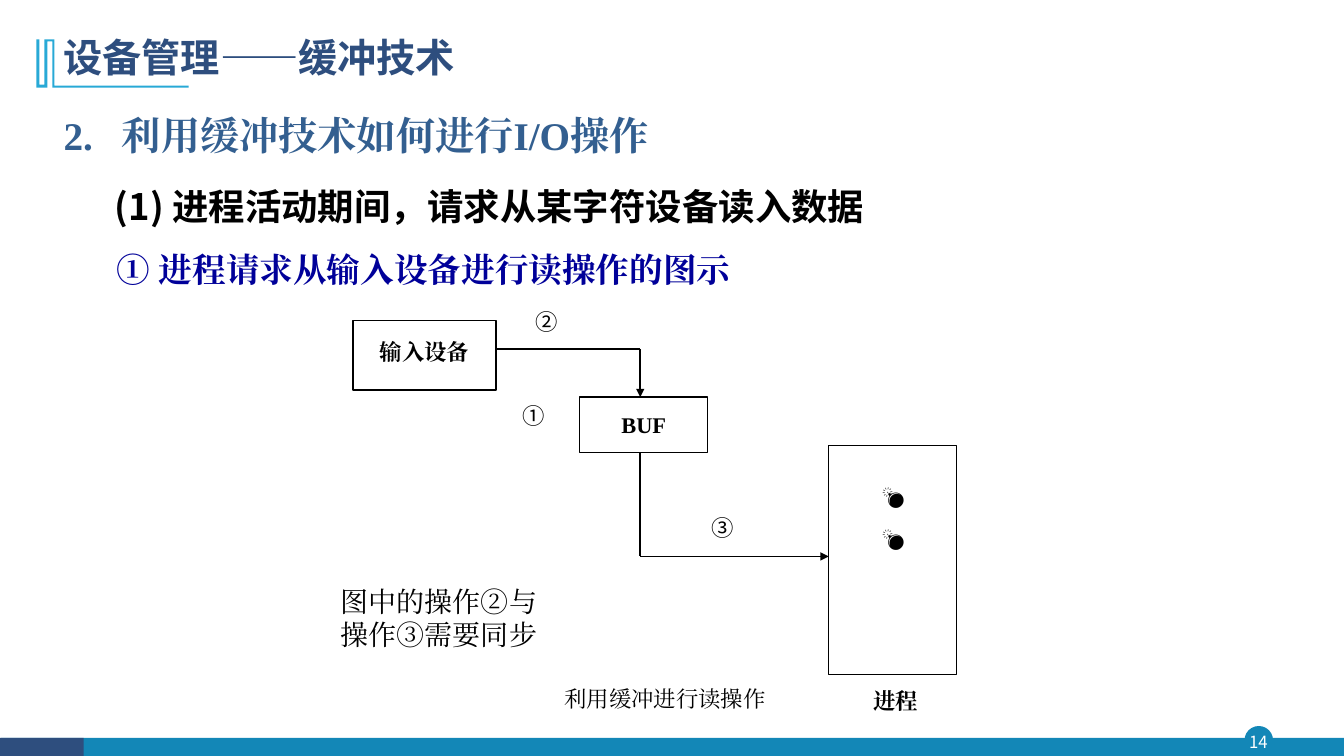
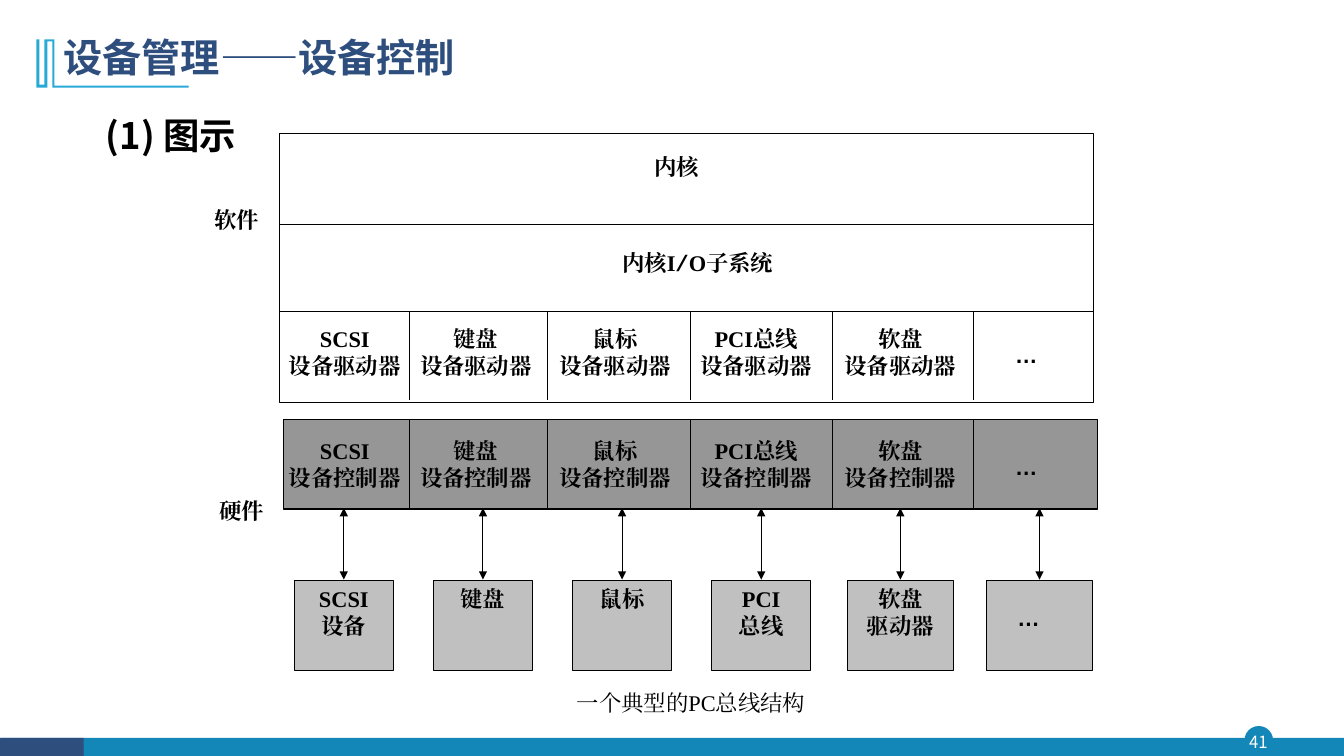
from lxml import etree
from pptx import Presentation
from pptx import util as u
from pptx.dml.color import RGBColor
from pptx.enum import shapes as sh, text as tx
from pptx.oxml import ns

NAVY = RGBColor(0x2E, 0x4E, 0x7E)
TEAL = RGBColor(0x13, 0x87, 0xB7)
SKY = RGBColor(0x28, 0xA9, 0xD6)
STEEL = RGBColor(0x33, 0x5F, 0x90)
BLUE = RGBColor(0x00, 0x00, 0x99)
BLACK = RGBColor(0, 0, 0)
WHITE = RGBColor(255, 255, 255)
DARK = RGBColor(0x96, 0x96, 0x96)
PALE = RGBColor(0xC0, 0xC0, 0xC0)
SERIF, SANS = "Times New Roman", "Noto Sans CJK SC"
LEFT, MID = tx.PP_ALIGN.LEFT, tx.PP_ALIGN.CENTER
I = u.Inches


# Basic parts
def style(para, size=16, font=SERIF, color=BLACK, bold=True):
    for run in para.runs:
        face = run.font
        face.size, face.name, face.bold = u.Pt(size), font, bold
        face.color.rgb = color
        east = etree.SubElement(face._element, ns.qn("a:ea"))
        east.set("typeface", font)


def label(slide, text, x, y, wide=1.42, align=MID, **look):
    """Text centred on height y; x is its centre, or its left edge."""
    left = x if align == LEFT else x - wide / 2
    area = slide.shapes.add_textbox(I(left), I(y - 0.3), I(wide), I(0.6))
    frame = area.text_frame
    frame.word_wrap = True
    frame.vertical_anchor = tx.MSO_ANCHOR.MIDDLE
    frame.margin_left = frame.margin_right = 0
    frame.margin_top = frame.margin_bottom = 0
    frame.text = text
    for para in frame.paragraphs:
        para.alignment = align
        style(para, **look)
    return frame


def box(slide, x, y, wide, high, fill=None, edge=BLACK, width=0.75, text="",
        kind=sh.MSO_SHAPE.RECTANGLE, anchor=tx.MSO_ANCHOR.MIDDLE):
    part = slide.shapes.add_shape(kind, I(x), I(y), I(wide), I(high))
    paint(part, fill, edge, width)
    frame = part.text_frame
    frame.vertical_anchor = anchor
    if text:
        frame.text = text
        for para in frame.paragraphs:
            para.alignment = MID
            style(para)
    return part


def paint(part, fill, edge=None, width=0.75):
    part.shadow.inherit = False
    if fill is None:
        part.fill.background()
    else:
        part.fill.solid()
        part.fill.fore_color.rgb = fill
    if edge is None:
        part.line.fill.background()
    else:
        part.line.color.rgb = edge
        part.line.width = u.Pt(width)


def wire(slide, x1, y1, x2, y2, width=0.75, ends=()):
    part = slide.shapes.add_connector(
        sh.MSO_CONNECTOR.STRAIGHT, I(x1), I(y1), I(x2), I(y2))
    part.line.color.rgb = BLACK
    part.line.width = u.Pt(width)
    for end in ends:
        tip = etree.SubElement(part.line._get_or_add_ln(), ns.qn(f"a:{end}"))
        tip.set("type", "triangle")
    etree.SubElement(part.element.spPr, ns.qn("a:effectLst"))


# Shared layout: placeholders, title mark and footer band
def place(part, x, y, wide, high):
    part.left, part.top, part.width, part.height = I(x), I(y), I(wide), I(high)


def setup(deck):
    layout = deck.slide_layouts[1]
    title, body, *rest = layout.placeholders
    place(title, 0.53, 0.31, 10.49, 0.56)
    place(body, 0.53, 1.05, 9.1, 1.98)
    for extra in rest:
        extra.element.getparent().remove(extra.element)
    return layout


def dress(slide, layout):
    """Draw the shared parts and move them to the layout."""
    ball = box(slide, 12.35, 7.21, 0.27, 0.27, TEAL, TEAL, 1,
               kind=sh.MSO_SHAPE.OVAL)
    band = box(slide, 0.01, 7.32, 13.32, 0.19, TEAL, None)
    tab = box(slide, 0, 7.32, 0.83, 0.19, NAVY, None)
    pen = slide.shapes.build_freeform(54, 39, scale=I(0.01))
    pen.add_line_segments([
        (54, 85), (187, 85), (187, 87), (52, 87), (52, 41), (47, 41),
        (47, 87), (36, 87), (36, 39), (39, 39), (39, 84), (44, 84), (44, 39)])
    mark = pen.convert_to_shape()
    paint(mark, SKY)
    for part in (ball, band, tab, mark):
        layout.shapes.element.append(part.element)


def head(slide, text, page):
    frame = slide.shapes.title.text_frame
    frame.text = text
    frame.auto_size = tx.MSO_AUTO_SIZE.NONE
    frame.vertical_anchor = tx.MSO_ANCHOR.MIDDLE
    para = frame.paragraphs[0]
    para.alignment, para.line_spacing = LEFT, 0.9
    style(para, 28, SANS, NAVY)
    label(slide, str(page), 12.48, 7.36, 0.32, size=12, font=SANS,
          color=WHITE, bold=False)


def points(slide, rows):
    """Rows hold text, margin, hanging indent, space before and look."""
    frame = slide.placeholders[1].text_frame
    frame.auto_size = tx.MSO_AUTO_SIZE.NONE
    frame.vertical_anchor = tx.MSO_ANCHOR.TOP
    frame.text = "\n".join(row[0] for row in rows)
    for para, (_, left, hang, gap, look) in zip(frame.paragraphs, rows):
        props = para._p.get_or_add_pPr()
        props.set("marL", str(I(left)))
        props.set("indent", str(-I(hang)))
        etree.SubElement(props, ns.qn("a:buNone"))
        para.alignment = LEFT
        para.line_spacing = 1.0
        para.space_before = u.Pt(gap)
        style(para, **look)


# Buffered read diagram
def flow(slide, x, y):
    device = box(slide, x, y, 1.42, 0.69, width=1, text="输入设备")
    device.text_frame.margin_bottom = I(0.12)
    box(slide, x + 2.25, y + 0.76, 1.27, 0.55, width=1, text="BUF")
    box(slide, x + 4.72, y + 1.24, 1.27, 2.27, width=1)
    label(slide, "进程", x + 5.38, y + 3.77)
    for row in (1.74, 2.15):
        label(slide, "💣", x + 5.36, y + row, 0.67, font=SANS)

    # Data path
    mid = x + 2.85
    tip = ("tailEnd",)
    wire(slide, x + 1.42, y + 0.28, mid, y + 0.28, 1.5)
    wire(slide, mid, y + 0.28, mid, y + 0.76, 1.5, tip)
    wire(slide, mid, y + 1.31, mid, y + 2.34, 1.5)
    wire(slide, mid, y + 2.34, x + 4.72, y + 2.34, ends=tip)
    for sign, dx, dy in (("①", 1.79, 0.94), ("②", 1.92, 0.01),
                         ("③", 3.67, 2.05)):
        label(slide, sign, x + dx, y + dy, 0.6, font=SANS, bold=False)

    # Note and caption
    label(slide, "图中的操作②与\n操作③需要同步", x - 0.12, y + 2.95, 2.24,
          LEFT, size=20, bold=False)
    label(slide, "利用缓冲进行读操作", x + 2.1, y + 3.75, 2.31, LEFT, bold=False)


# Bus structure diagram
def split(slide, x, y, names, kind, drop):
    """Column rules and two-line names of one row of the bus."""
    for edge in (1.29, 2.66, 4.08, 5.49, 6.89):
        wire(slide, x + edge, y, x + edge, y + 0.88)
    for name, mid in zip(names, (0.65, 1.95, 3.33, 4.73, 6.16)):
        label(slide, f"{name}\n{kind}", x + mid, y + drop)
    label(slide, "…", x + 7.41, y + drop + 0.03, font="Arial")


def bus(slide, x, y):
    wide = 8.08
    names = ("SCSI", "键盘", "鼠标", "PCI总线", "软盘")

    # Software
    box(slide, x, y, wide, 2.67, WHITE)
    for row in (0.91, 1.77):
        wire(slide, x, y + row, x + wide, y + row)
    label(slide, "内核", x + 3.94, y + 0.33)
    para = label(slide, "内核I", x + 4.15, y + 1.28, 1.96).paragraphs[0]
    for piece in ("/", "O子系统"):
        para.add_run().text = piece
    style_mix(para)
    split(slide, x, y + 1.77, names, "设备驱动器", 0.4)

    # Hardware
    box(slide, x + 0.04, y + 2.84, wide, 0.89, DARK)
    split(slide, x, y + 2.84, names, "设备控制器", 0.44)
    gear = ("SCSI\n设备", "键盘", "鼠标", "PCI\n总线", "软盘\n驱动器", "")
    for i, name in enumerate(gear):
        mid = x + 0.64 + 1.38 * i
        size = 0.98 if i < 4 else 1.05
        box(slide, mid - size / 2, y + 4.44, size, 0.89, PALE, text=name,
            anchor=tx.MSO_ANCHOR.TOP)
        wire(slide, mid, y + 3.72, mid, y + 4.43, ends=("headEnd", "tailEnd"))
    label(slide, "…", x + 7.43, y + 4.81, font="Arial")

    # Side names and caption
    label(slide, "软件", x - 0.42, y + 0.86, 0.86)
    label(slide, "硬件", x - 0.37, y + 3.75, 0.86)
    label(slide, "一个典型的PC总线结构", x + 2.95, y + 5.65, 2.69, LEFT,
          bold=False)


def style_mix(para):
    """Match later runs to the first one, with a monospaced slash."""
    first = para.runs[0].font
    for run in para.runs[1:]:
        face = run.font
        face.size, face.bold = first.size, first.bold
        face.color.rgb = BLACK
        face.name = "Courier New" if run.text == "/" else SERIF
        east = etree.SubElement(face._element, ns.qn("a:ea"))
        east.set("typeface", face.name)


def main():
    deck = Presentation()
    deck.slide_width, deck.slide_height = I(13.33), I(7.5)
    layout = setup(deck)
    item = dict(size=26, font=SANS)

    # Buffering
    slide = deck.slides.add_slide(layout)
    dress(slide, layout)
    head(slide, "设备管理——缓冲技术", 14)
    points(slide, [
        ("2.\t利用缓冲技术如何进行I/O操作", 0.58, 0.58, 0,
         dict(size=28, color=STEEL)),
        ("(1) 进程活动期间，请求从某字符设备读入数据", 0.51, 0, 18.7, item),
        ("① 进程请求从输入设备进行读操作的图示", 0.53, 0, 15.4,
         dict(size=24, color=BLUE))])
    flow(slide, 3.5, 3.18)

    # Device control
    slide = deck.slides.add_slide(layout)
    head(slide, "设备管理——设备控制", 41)
    points(slide, [("(1) 图示", 0.42, 0, 0, item)])
    place(slide.placeholders[1], 0.53, 1.07, 2.66, 0.68)
    bus(slide, 2.77, 1.32)

    deck.save("out.pptx")


if __name__ == "__main__":
    main()
